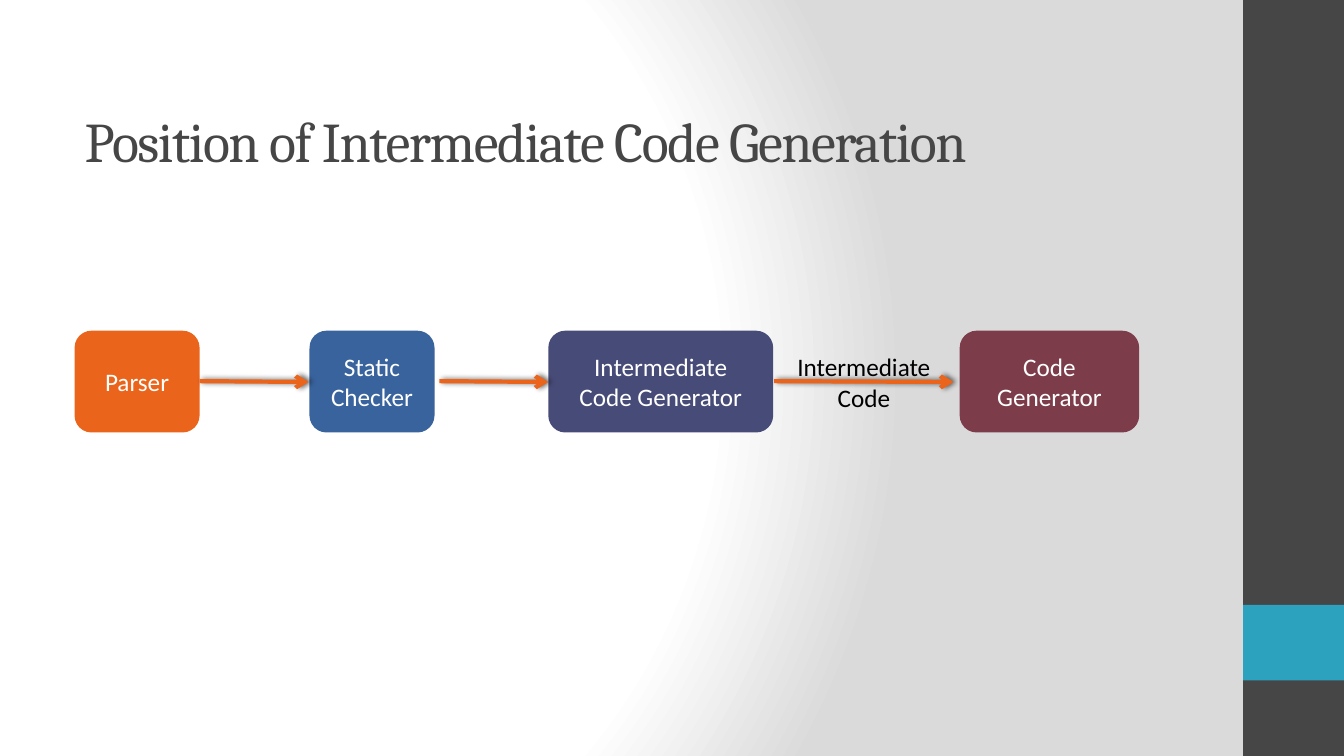
from pptx import Presentation
from pptx.dml.color import RGBColor
from pptx.enum.shapes import MSO_CONNECTOR, MSO_SHAPE
from pptx.enum.text import MSO_ANCHOR, PP_ALIGN
from pptx.oxml import parse_xml
from pptx.oxml.ns import nsdecls
from pptx.util import Pt

WIDE, HIGH = 960, 540
ORANGE, GREY = "EB641B", "464646"


def paint(target, color):
    if hasattr(target, "solid"):
        target.solid()
        target = target.fore_color
    target.rgb = RGBColor.from_string(color)


def write(frame, lines, size, font, color, align):
    frame.word_wrap = True
    frame.vertical_anchor = MSO_ANCHOR.MIDDLE
    for index, line in enumerate(lines):
        para = frame.add_paragraph() if index else frame.paragraphs[0]
        para.alignment = align
        run = para.add_run()
        run.text = line
        run.font.size = Pt(size)
        run.font.name = font
        paint(run.font.color, color)


def block(slide, kind, box, color):
    shape = slide.shapes.add_shape(kind, *map(Pt, box))
    shape.shadow.inherit = False
    paint(shape.fill, color)
    shape.line.fill.background()
    return shape


def backdrop(slide):
    stops = "".join(
        f'<a:gs pos="{pos}000"><a:srgbClr val="{color}"/></a:gs>'
        for pos, color in ((0, "FFFFFF"), (75, "FFFFFF"), (100, "DADADA")))
    slide.element.cSld.insert(0, parse_xml(
        f'<p:bg {nsdecls("p", "a")}><p:bgPr><a:gradFill rotWithShape="1">'
        f'<a:gsLst>{stops}</a:gsLst><a:path path="circle">'
        '<a:fillToRect l="20000" t="50000" r="100000" b="50000"/></a:path>'
        '</a:gradFill><a:effectLst/></p:bgPr></p:bg>'))


def sidebar(slide, box):
    left, top, width, height = box
    block(slide, MSO_SHAPE.RECTANGLE, box, GREY)
    accent = (left, top + height * 0.8, width, height * 0.1)
    block(slide, MSO_SHAPE.RECTANGLE, accent, "2DA2BF")


def heading(slide, box, text):
    title = slide.shapes.title
    title.left, title.top, title.width, title.height = map(Pt, box)
    write(title.text_frame, [text], 40, "Cambria", GREY, PP_ALIGN.LEFT)
    title.text_frame.paragraphs[0].runs[0].font.element.set("spc", "-100") if hasattr(
        title.text_frame.paragraphs[0].runs[0].font, "element") else \
        title.text_frame._txBody.xpath(".//a:rPr")[0].set("spc", "-100")


def arrow(slide, start, end, mid):
    link = slide.shapes.add_connector(
        MSO_CONNECTOR.STRAIGHT, Pt(start), Pt(mid - 0.6), Pt(end), Pt(mid))
    link.line.width = Pt(3)
    paint(link.line.fill, ORANGE)
    link.line._get_or_add_ln().append(
        parse_xml(f'<a:tailEnd {nsdecls("a")} type="arrow"/>'))
    link.element.spPr.append(parse_xml(
        f'<a:effectLst {nsdecls("a")}><a:outerShdw blurRad="{Pt(4)}" '
        f'dist="{Pt(2)}" dir="0" rotWithShape="0"><a:srgbClr val="000000">'
        '<a:alpha val="60000"/></a:srgbClr></a:outerShdw></a:effectLst>'))


def flow(slide, box):
    left, top, width, height = box
    stages = (
        (0, 89.3, ORANGE, ["Parser"]),
        (167.8, 89.3, "39639D", ["Static", "Checker"]),
        (338.4, 160.6, "474B78", ["Intermediate", "Code Generator"]),
        (632.2, 128.2, "7D3C4A", ["Code", "Generator"]),
    )
    for shift, span, color, lines in stages:
        place = (left + shift, top, span, height)
        shape = block(slide, MSO_SHAPE.ROUNDED_RECTANGLE, place, color)
        write(shape.text_frame, lines, 18, "Calibri", "FFFFFF", PP_ALIGN.CENTER)

    mid = top + height / 2 + 0.3
    for start, end in ((89.3, 167.2), (260.6, 338.4), (499.7, 627.8)):
        arrow(slide, left + start, left + end, mid)

    label = slide.shapes.add_textbox(
        Pt(left + 477.4), Pt(mid - 25.6), Pt(172.8), Pt(51.2))
    write(label.text_frame, ["Intermediate", "Code"], 18, "Calibri", "000000",
          PP_ALIGN.CENTER)


def main():
    deck = Presentation()
    deck.slide_width, deck.slide_height = Pt(WIDE), Pt(HIGH)
    slide = deck.slides.add_slide(deck.slide_layouts[5])
    backdrop(slide)
    sidebar(slide, (WIDE - 72, 0, 72, HIGH))
    heading(slide, (53.3, 48.2, 716.4, 103.7),
            "Position of Intermediate Code Generation")
    flow(slide, (53.3, 236.2, 765, 72.7))
    deck.save("out.pptx")


if __name__ == "__main__":
    main()
